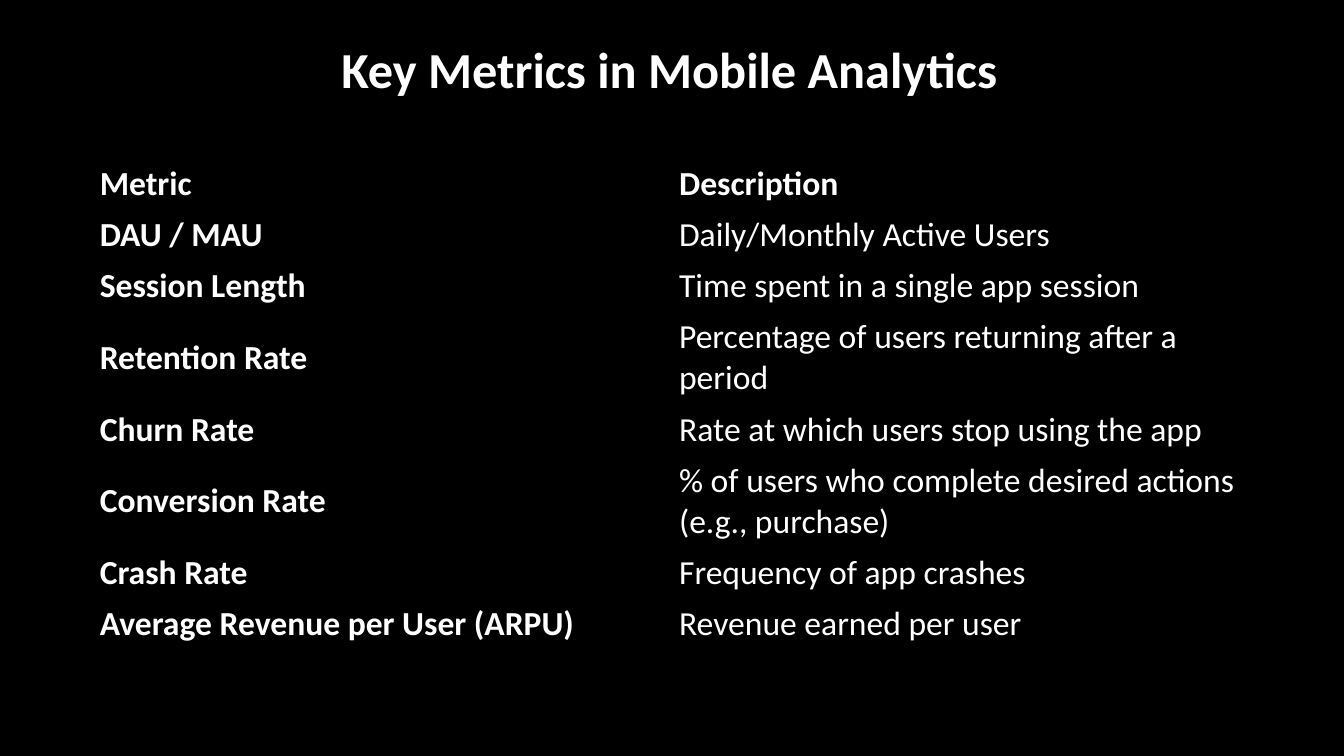
"""Builds the slide on key metrics in mobile analytics."""
from pptx import Presentation
from pptx.dml.color import RGBColor
from pptx.enum.text import MSO_ANCHOR, PP_ALIGN
from pptx.oxml.ns import qn
from pptx.util import Cm, Pt

MIDDLE = MSO_ANCHOR.MIDDLE
LEFT, CENTER = PP_ALIGN.LEFT, PP_ALIGN.CENTER
NO_STYLE_NO_GRID = "{2D5ABB26-0587-4C30-8999-92F81FD0307C}"
BLACK, WHITE = "000000", "FFFFFF"
ONE_LINE, TWO_LINES = Cm(1.29), Cm(2.32)

METRICS = [
    ("Metric", "Description", ONE_LINE),
    ("DAU / MAU", "Daily/Monthly Active Users", ONE_LINE),
    ("Session Length", "Time spent in a single app session", ONE_LINE),
    ("Retention Rate", "Percentage of users returning after a period", TWO_LINES),
    ("Churn Rate", "Rate at which users stop using the app", ONE_LINE),
    ("Conversion Rate", "% of users who complete desired actions (e.g., purchase)", TWO_LINES),
    ("Crash Rate", "Frequency of app crashes", ONE_LINE),
    ("Average Revenue per User (ARPU)", "Revenue earned per user", ONE_LINE),
]


def rgb(color):
    return RGBColor.from_string(color)


def write(frame, text, size=24, bold=False, align=LEFT, spacing=1.0):
    frame.word_wrap = True
    paragraph = frame.paragraphs[0]
    paragraph.alignment = align
    paragraph.line_spacing = spacing
    run = paragraph.add_run()
    run.text = text
    run.font.name = "Calibri"
    run.font.size = Pt(size)
    run.font.bold = bold
    run.font.color.rgb = rgb(WHITE)


deck = Presentation()
deck.slide_width, deck.slide_height = Cm(33.87), Cm(19.05)
slide = deck.slides.add_slide(deck.slide_layouts[6])
slide.background.fill.solid()
slide.background.fill.fore_color.rgb = rgb(BLACK)

heading = slide.shapes.add_textbox(Cm(1.37), Cm(1.02), Cm(31.01), Cm(17.22))
write(heading.text_frame, "Key Metrics in Mobile Analytics",
      size=36, bold=True, align=CENTER, spacing=0.9)

metrics_height = sum(height for _, _, height in METRICS)
metrics = slide.shapes.add_table(
    len(METRICS), 2, Cm(2.26), Cm(3.99), Cm(29.2), metrics_height).table
metrics.horz_banding = False
metrics.first_row = False
metrics._tbl.tblPr.find(qn("a:tableStyleId")).text = NO_STYLE_NO_GRID

for row, (metric, description, height) in enumerate(METRICS):
    metrics.rows[row].height = height
    for column, text in enumerate((metric, description)):
        cell = metrics.cell(row, column)
        cell.fill.background()
        cell.vertical_anchor = MIDDLE
        write(cell.text_frame, text, bold=row == 0 or column == 0)

deck.save("out.pptx")
